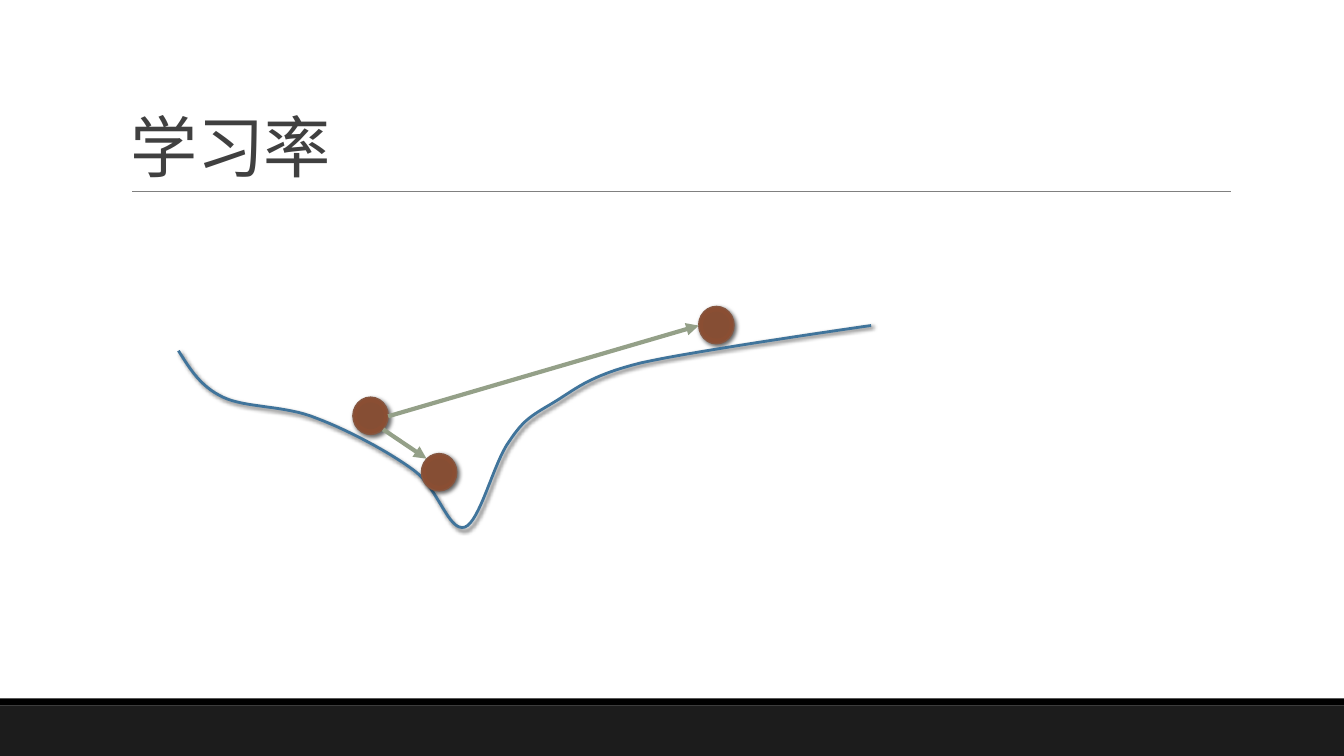
from pptx import Presentation, util as u
from pptx.dml.color import RGBColor
from pptx.enum import shapes as kinds, text
from pptx.oxml import parse_xml
from pptx.oxml.ns import qn
from lxml import etree

WIDTH, HEIGHT = 13.33, 7.5
TITLE = "学习率"
BALL_SIZE = (0.35, 0.37)
BALLS = {"start": (3.5, 3.94), "overshoot": (6.93, 3.04), "small step": (4.18, 4.5)}
STEPS = [((3.85, 4.13), (6.93, 3.23)), ((3.8, 4.26), (4.23, 4.55))]
CURVE_START = (1.77, 3.48)
CURVE = [
    ((1.88, 3.65), (1.98, 3.83), (2.21, 3.94)),
    ((2.44, 4.05), (2.83, 4.02), (3.14, 4.15)),
    ((3.46, 4.27), (3.87, 4.49), (4.11, 4.67)),
    ((4.35, 4.85), (4.45, 5.28), (4.61, 5.23)),
    ((4.76, 5.18), (4.9, 4.58), (5.05, 4.38)),
    ((5.19, 4.17), (5.26, 4.13), (5.48, 4)),
    ((5.7, 3.87), (5.83, 3.73), (6.36, 3.6)),
    ((6.89, 3.48), (8.64, 3.23), (8.64, 3.23)),
]
BALL_SHADES = [(0, "874C32"), (34, "864E34"), (70, "8A4E33"), (100, "8A553D")]
SAMPLES = 16

FOOTER = RGBColor(0x1C, 0x1C, 0x1C)
BLACK = RGBColor(0, 0, 0)
RULE = RGBColor(0x80, 0x80, 0x80)
INK = RGBColor(0x40, 0x40, 0x40)
BALL_EDGE = RGBColor(0x86, 0x56, 0x40)
LOSS = RGBColor(0x40, 0x74, 0x9B)
ARROW = RGBColor(0x94, 0xA0, 0x88)
NS = 'xmlns:a="http://schemas.openxmlformats.org/drawingml/2006/main"'

deck = Presentation()
deck.slide_width, deck.slide_height = u.Inches(WIDTH), u.Inches(HEIGHT)
slide = deck.slides.add_slide(deck.slide_layouts[6])


def inches(*values):
    return [u.Inches(value) for value in values]


def add_bar(top, height, color):
    bar = slide.shapes.add_shape(
        kinds.MSO_SHAPE.RECTANGLE, *inches(0, top, WIDTH, height))
    bar.shadow.inherit = False
    bar.fill.solid()
    bar.fill.fore_color.rgb = color
    bar.line.fill.background()


def add_line(start, end, color, weight):
    line = slide.shapes.add_connector(
        kinds.MSO_CONNECTOR.STRAIGHT, *inches(*start, *end))
    line.line.color.rgb = color
    line.line.width = u.Pt(weight)
    etree.SubElement(line._element.spPr, qn("a:effectLst"))
    return line


def add_shadow(shape):
    shape.shadow.inherit = False
    shape._element.spPr.find(qn("a:effectLst")).append(parse_xml(
        f'<a:outerShdw {NS} blurRad="{u.Pt(3)}" dist="{u.Pt(2)}" dir="2700000" '
        'algn="ctr" rotWithShape="0"><a:srgbClr val="000000">'
        '<a:alpha val="60000"/></a:srgbClr></a:outerShdw>'))


def add_ball(position):
    ball = slide.shapes.add_shape(
        kinds.MSO_SHAPE.OVAL, *inches(*position, *BALL_SIZE))
    stops = "".join(
        f'<a:gs pos="{share * 1000}"><a:srgbClr val="{shade}"/></a:gs>'
        for share, shade in BALL_SHADES)
    ball._element.spPr.find(qn("a:prstGeom")).addnext(parse_xml(
        f'<a:gradFill {NS} rotWithShape="1"><a:gsLst>{stops}</a:gsLst>'
        '<a:path path="circle"><a:fillToRect l="100000" t="100000" '
        'r="100000" b="100000"/></a:path></a:gradFill>'))
    ball.line.color.rgb = BALL_EDGE
    ball.line.width = u.Pt(1)
    add_shadow(ball)


def add_step(start, end):
    step = add_line(start, end, ARROW, 3)
    outline = step._element.spPr.find(qn("a:ln"))
    etree.SubElement(outline, qn("a:tailEnd"), type="triangle")


def bezier(corners, t):
    weights = ((1 - t) ** 3, 3 * t * (1 - t) ** 2, 3 * t ** 2 * (1 - t), t ** 3)
    return inches(*(sum(w * c for w, c in zip(weights, axis)) for axis in zip(*corners)))


def add_loss_curve():
    points, start = [], CURVE_START
    for segment in CURVE:
        points += [bezier((start, *segment), i / SAMPLES) for i in range(1, SAMPLES + 1)]
        start = segment[-1]
    builder = slide.shapes.build_freeform(*inches(*CURVE_START))
    builder.add_line_segments(points, close=False)
    loss = builder.convert_to_shape()
    loss.fill.background()
    loss.line.color.rgb = LOSS
    loss.line.width = u.Pt(2)
    add_shadow(loss)


def add_title():
    heading = slide.shapes.add_textbox(*inches(1.2, 0.31, 11, 1.59)).text_frame
    heading.word_wrap = True
    heading.vertical_anchor = text.MSO_ANCHOR.BOTTOM
    line = heading.paragraphs[0]
    line.line_spacing = 0.85
    title = line.add_run()
    title.text = TITLE
    title._r.get_or_add_rPr().set("spc", "-50")
    line.font.name = "Calibri"
    line.font.size = u.Pt(48)
    line.font.color.rgb = INK


add_bar(7, 0.5, FOOTER)
add_bar(6.93, 0.07, BLACK)
add_line((1.31, 1.9), (12.21, 1.9), RULE, 0.5)
add_title()
add_ball(BALLS["start"])
add_ball(BALLS["overshoot"])
add_loss_curve()
add_step(*STEPS[0])
add_ball(BALLS["small step"])
add_step(*STEPS[1])
deck.save("out.pptx")
